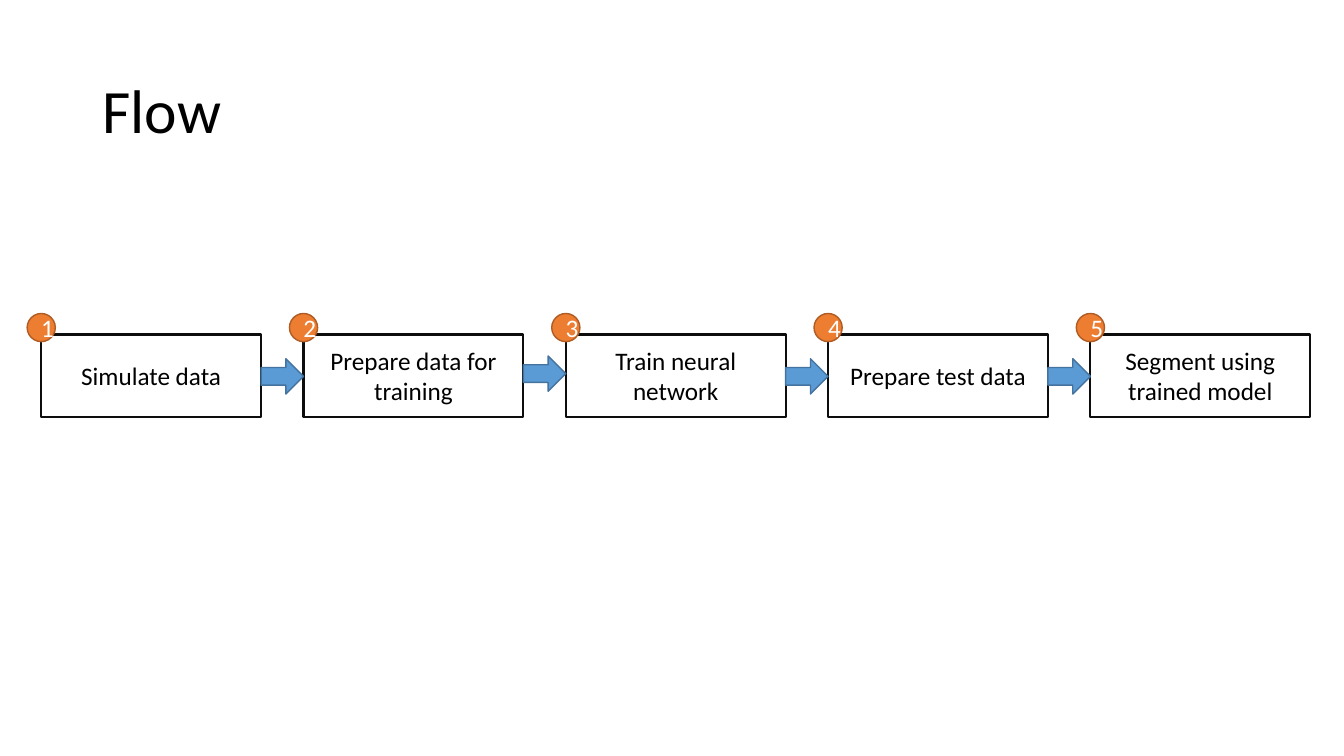
import pptx
import pptx.dml.color
import pptx.enum.shapes
import pptx.enum.text
import pptx.util

Cm = pptx.util.Cm
Pt = pptx.util.Pt
SHAPE = pptx.enum.shapes.MSO_SHAPE
ALIGN = pptx.enum.text.PP_ALIGN
MIDDLE = pptx.enum.text.MSO_ANCHOR.MIDDLE

TITLE = "Flow"
STEPS = [
    "Simulate data",
    "Prepare data for training",
    "Train neural network",
    "Prepare test data",
    "Segment using trained model",
]
# Top of the arrow that follows each step but the last, in cm
ARROW_TOPS = [9.04, 8.97, 9.04, 9.04]

THEME = {
    "font": "Calibri",
    "title_size": 44,
    "body_size": 18,
    "text": "000000",
    "box": {"fill": None, "line": "0D0D0D", "width": 1.5},
    "arrow": {"fill": "5B9BD5", "line": "43739E", "width": 1},
    "badge": {"fill": "ED7D31", "line": "AF5C24", "width": 1},
    "badge_text": "FFFFFF",
}

BOX_LEFT, BOX_TOP, BOX_WIDTH, BOX_HEIGHT = 1.04, 8.43, 5.54, 2.08
BOX_PITCH = 6.61
ARROW_HEIGHT = 0.89
BADGE_TOP, BADGE_SIZE = 7.9, 0.71


def color(value):
    return pptx.dml.color.RGBColor.from_string(value)


def set_text(shape, text, size, text_color, alignment, line_spacing=None):
    shape.text_frame.text = text
    shape.text_frame.vertical_anchor = MIDDLE
    shape.text_frame.word_wrap = True
    paragraph = shape.text_frame.paragraphs[0]
    paragraph.alignment = alignment
    paragraph.line_spacing = line_spacing
    font = paragraph.runs[0].font
    for name, value in {"name": THEME["font"], "size": Pt(size)}.items():
        setattr(font, name, value)
    font.color.rgb = color(text_color)


def add_shape(slide, kind, left, top, width, height, style):
    """Add a preset shape, measured in cm, in one of the theme styles."""
    shape = slide.shapes.add_shape(kind, Cm(left), Cm(top), Cm(width), Cm(height))
    shape.shadow.inherit = False
    if style["fill"]:
        shape.fill.solid()
        shape.fill.fore_color.rgb = color(style["fill"])
    else:
        shape.fill.background()
    shape.line.color.rgb = color(style["line"])
    shape.line.width = Pt(style["width"])
    return shape


def add_title(slide):
    title = slide.shapes.title
    place = {"left": 2.33, "top": 1.01, "width": 29.21, "height": 3.68}
    for name, value in place.items():
        setattr(title, name, Cm(value))
    set_text(title, TITLE, THEME["title_size"], THEME["text"], ALIGN.LEFT, 0.9)


def main():
    presentation = pptx.Presentation()
    presentation.slide_width = Cm(33.87)
    presentation.slide_height = Cm(19.05)
    slide = presentation.slides.add_slide(presentation.slide_layouts[5])
    add_title(slide)

    lefts = [BOX_LEFT + index * BOX_PITCH for index in range(len(STEPS))]
    for left, step in zip(lefts, STEPS):
        box = add_shape(slide, SHAPE.RECTANGLE, left, BOX_TOP,
                        BOX_WIDTH, BOX_HEIGHT, THEME["box"])
        set_text(box, step, THEME["body_size"], THEME["text"], ALIGN.CENTER)

    for left, top in zip(lefts, ARROW_TOPS):
        add_shape(slide, SHAPE.RIGHT_ARROW, left + BOX_WIDTH, top,
                  BOX_PITCH - BOX_WIDTH, ARROW_HEIGHT, THEME["arrow"])

    for number, left in enumerate(lefts, start=1):
        badge = add_shape(slide, SHAPE.OVAL, left - BADGE_SIZE / 2, BADGE_TOP,
                          BADGE_SIZE, BADGE_SIZE, THEME["badge"])
        set_text(badge, str(number), THEME["body_size"],
                 THEME["badge_text"], ALIGN.CENTER)

    presentation.save("out.pptx")


if __name__ == "__main__":
    main()
